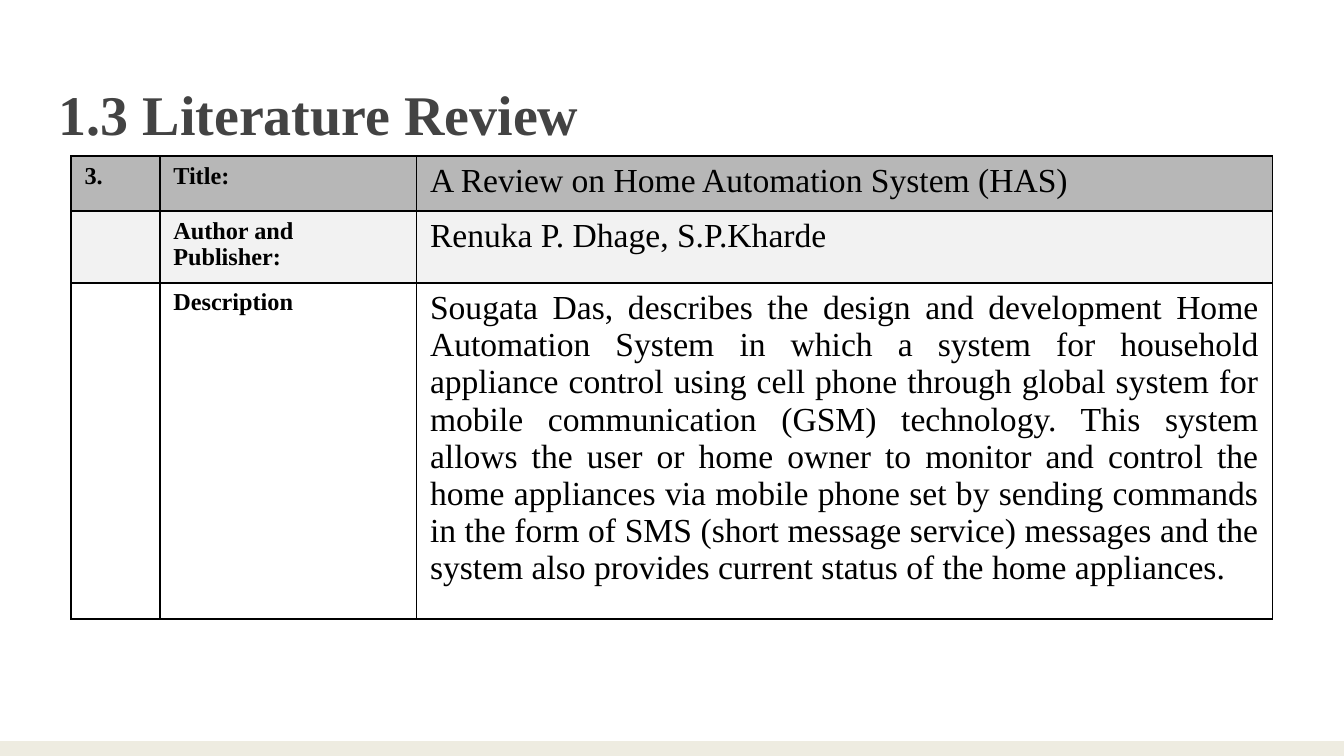
from dataclasses import dataclass

from lxml.etree import SubElement
from pptx import Presentation
from pptx.dml.color import RGBColor as Color
from pptx.enum.shapes import MSO_SHAPE as Shape
from pptx.enum.text import PP_ALIGN as Align
from pptx.oxml.ns import qn
from pptx.util import Pt


@dataclass(frozen=True)
class Theme:
    """Colours, font and type sizes of the deck."""
    font: str = "Times New Roman"
    heading: str = "434343"
    ink: str = "000000"
    strip: str = "EEECE1"
    fills: tuple = ("B7B7B7", "F2F2F2", "FFFFFF")
    heading_size: int = 30
    label_size: int = 13
    body_size: int = 18
    border: float = 0.96


THEME = Theme()


def write(frame, text, size=THEME.body_size, color=THEME.ink, bold=False, align=Align.LEFT):
    """Put one formatted paragraph into a text frame."""
    para = frame.paragraphs[0]
    para.alignment = align
    span = para.add_run()
    span.text = text
    span.font.name = THEME.font
    span.font.size = Pt(size)
    span.font.bold = bold
    span.font.color.rgb = Color.from_string(color)


class Page:
    """A slide measured in square grid units, one hundred to its width."""

    def __init__(self, deck, theme):
        """Add a blank slide to the deck."""
        self.theme = theme
        self.unit = deck.slide_width / 100
        self.rows = deck.slide_height / self.unit
        self.shapes = deck.slides.add_slide(deck.slide_layouts[6]).shapes

    def grid(self, *lengths):
        """Turn grid units into slide lengths."""
        return [round(length * self.unit) for length in lengths]

    def strip(self, height):
        """Draw the band along the bottom edge."""
        area = self.grid(0, self.rows - height, 100, height)
        band = self.shapes.add_shape(Shape.RECTANGLE, *area)
        band.shadow.inherit = False
        band.fill.solid()
        band.fill.fore_color.rgb = Color.from_string(self.theme.strip)
        band.line.fill.background()

    def heading(self, text, *area):
        """Add the slide heading."""
        frame = self.shapes.add_textbox(*self.grid(*area)).text_frame
        frame.word_wrap = True
        frame.margin_left, frame.margin_top, frame.margin_right, frame.margin_bottom = self.grid(1, 1, 1, 1)
        write(frame, text, size=self.theme.heading_size, color=self.theme.heading, bold=True)

    def outline(self, cell):
        """Draw the four borders of a table cell."""
        properties = cell._tc.get_or_add_tcPr()
        for side in ("a:lnL", "a:lnR", "a:lnT", "a:lnB"):
            line = SubElement(properties, qn(side), w=str(Pt(self.theme.border)))
            fill = SubElement(line, qn("a:solidFill"))
            SubElement(fill, qn("a:srgbClr"), val=self.theme.ink)

    def table(self, records, left, top, widths, heights):
        """Add a bordered table with bold labels before the last column."""
        area = self.grid(left, top, sum(widths), sum(heights))
        table = self.shapes.add_table(len(heights), len(widths), *area).table
        table.first_row = table.horz_banding = False
        for column, width in zip(table.columns, self.grid(*widths)):
            column.width = width
        for row, height, record, fill in zip(table.rows, self.grid(*heights), records, self.theme.fills):
            row.height = height
            *labels, (body, align) = record
            formats = [(label, {"size": self.theme.label_size, "bold": True}) for label in labels]
            formats.append((body, {"align": align}))
            for cell, (text, style) in zip(row.cells, formats):
                self.outline(cell)
                cell.fill.solid()
                cell.fill.fore_color.rgb = Color.from_string(fill)
                if text:
                    write(cell.text_frame, text, **style)


DESCRIPTION = (
    "Sougata Das, describes the design and development Home Automation System in which "
    "a system for household appliance control using cell phone through global system for "
    "mobile communication (GSM) technology. This system allows the user or home owner to "
    "monitor and control the home appliances via mobile phone set by sending commands in "
    "the form of SMS (short message service) messages and the system also provides current "
    "status of the home appliances."
)
RECORDS = (
    ("3.", "Title:", ("A Review on Home Automation System (HAS)", Align.LEFT)),
    ("", "Author and Publisher:", ("Renuka P. Dhage, S.P.Kharde", Align.LEFT)),
    ("", "Description", (DESCRIPTION, Align.JUSTIFY)),
)


def main():
    """Build and save the deck."""
    deck = Presentation()
    deck.slide_height = deck.slide_width * 9 // 16
    page = Page(deck, THEME)
    page.strip(1.1)
    page.heading("1.3 Literature Review", 3.4, 4.9, 93.2, 6.7)
    page.table(RECORDS, left=5.3, top=11.6, widths=(6.6, 19.1, 63.7), heights=(4.1, 5, 23.1))
    deck.save("out.pptx")


if __name__ == "__main__":
    main()
